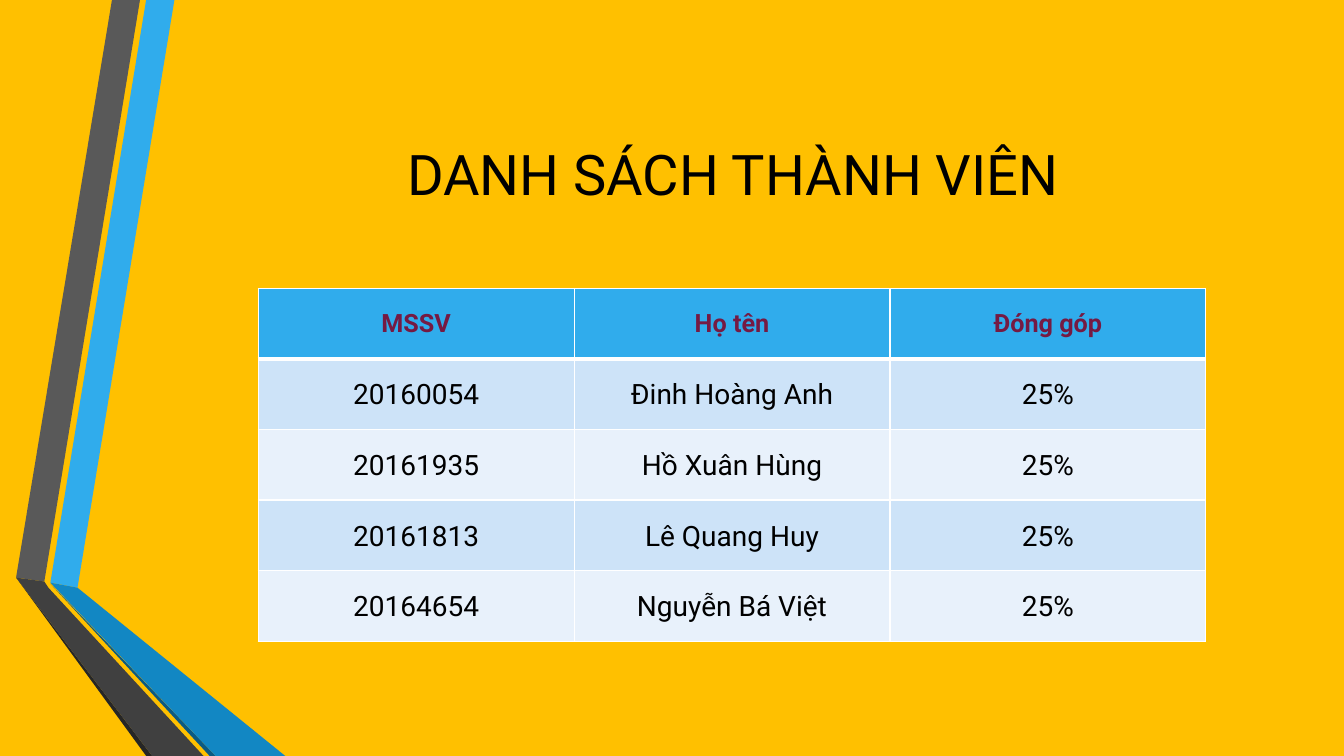
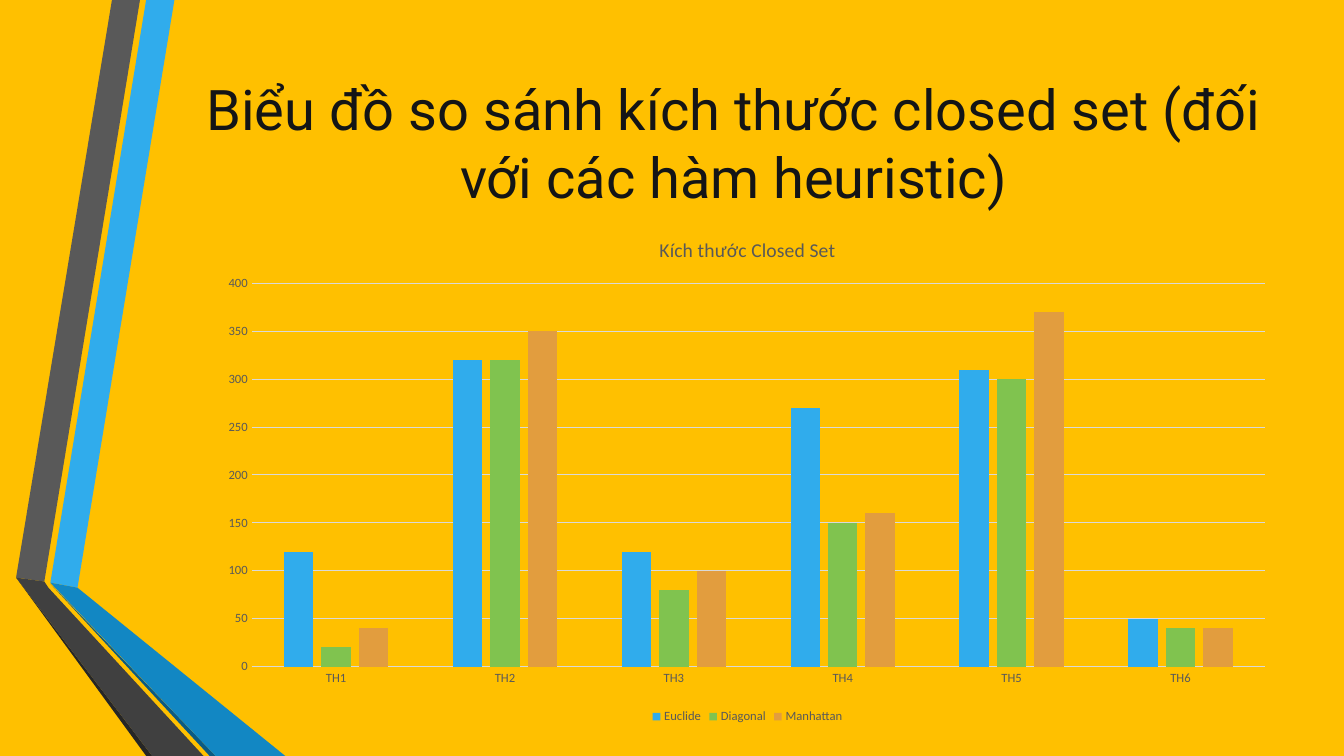
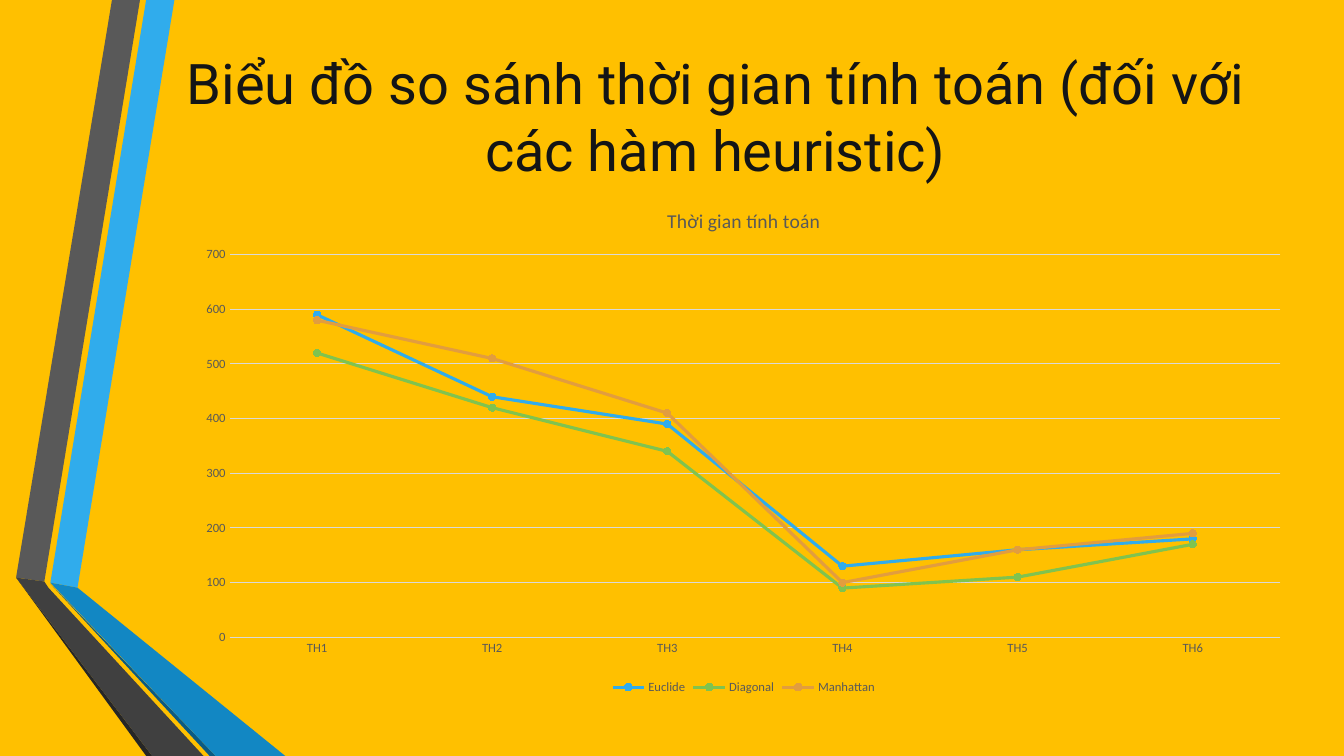
from lxml import etree
from pptx import Presentation
from pptx.chart.data import CategoryChartData
from pptx.dml.color import RGBColor
from pptx.enum.chart import XL_CHART_TYPE, XL_LEGEND_POSITION, XL_MARKER_STYLE, XL_TICK_MARK
from pptx.enum.text import MSO_ANCHOR, MSO_AUTO_SIZE, PP_ALIGN
from pptx.oxml.ns import qn
from pptx.util import Pt

COLUMNS = XL_CHART_TYPE.COLUMN_CLUSTERED
LINES = XL_CHART_TYPE.LINE_MARKERS
LEGEND_BOTTOM = XL_LEGEND_POSITION.BOTTOM
CIRCLE = XL_MARKER_STYLE.CIRCLE
NO_TICK = XL_TICK_MARK.NONE
MIDDLE = MSO_ANCHOR.MIDDLE
NO_AUTOFIT = MSO_AUTO_SIZE.NONE
CENTER = PP_ALIGN.CENTER

TITLE_ONLY = 5
AMBER, WHITE, BLACK, INK = "FFC000", "FFFFFF", "000000", "141516"
SKY, GREEN, ORANGE = "30ACEC", "80C34F", "E29D3E"
GRAY, LIGHT_GRAY, MAROON = "595959", "D9D9D9", "751A43"
ROW_FILLS = ("CDE3F8", "E8F1FB")
RIBBONS = (
    (SKY, [(36, 416.2), (55.4, 419.8), (124.6, 0), (104.4, 0)]),
    (GRAY, [(100, 0), (80, 0), (11.5, 412.6), (31.7, 415.4)]),
    ("262626", [(11.5, 412.6), (104.4, 540), (108.7, 540)]),
    ("0C5A82", [(36, 416.9), (149.8, 540), (154.1, 540)]),
    ("1287C3", [(36, 416.2), (154.1, 540), (203.8, 540), (55.4, 419.8)]),
    ("404040", [(145.4, 540), (34.6, 419.8), (31.7, 415.4), (11.5, 412.6), (108.7, 540)]),
)
PLOT_LAYOUT = {"x": 0.04, "y": 0.13, "w": 0.94, "h": 0.75}

MEMBERS = [
    ("MSSV", "Họ tên", "Đóng góp"),
    ("20160054", "Đinh Hoàng Anh", "25%"),
    ("20161935", "Hồ Xuân Hùng", "25%"),
    ("20161813", "Lê Quang Huy", "25%"),
    ("20164654", "Nguyễn Bá Việt", "25%"),
]
CASES = ["TH1", "TH2", "TH3", "TH4", "TH5", "TH6"]
SERIES_COLORS = {"Euclide": SKY, "Diagonal": GREEN, "Manhattan": ORANGE}
CLOSED_SET_SIZES = [
    (120, 320, 120, 270, 310, 50),
    (20, 320, 80, 150, 300, 40),
    (40, 350, 100, 160, 370, 40),
]
COMPUTE_TIMES = [
    (590, 440, 390, 130, 160, 180),
    (520, 420, 340, 90, 110, 170),
    (580, 510, 410, 100, 160, 190),
]


def color(value):
    """Turn a hex string into a colour."""
    return RGBColor.from_string(value)


def style_font(font, size, value, name="Calibri", bold=False):
    """Set size, colour, typeface and weight of a font."""
    font.size = Pt(size)
    font.color.rgb = color(value)
    font.name = name
    font.bold = bold


def style_line(line, value, width):
    """Set colour and width of a line."""
    line.color.rgb = color(value)
    line.width = Pt(width)


def style_fill(fill, value):
    """Set a solid fill."""
    fill.solid()
    fill.fore_color.rgb = color(value)


class Deck:
    """Hold the shared style and the current slide."""

    def __init__(self):
        """Start a widescreen presentation with an amber background."""
        self.presentation = Presentation()
        self.presentation.slide_width = Pt(960)
        self.presentation.slide_height = Pt(540)
        style_fill(self.presentation.slide_master.background.fill, AMBER)
        self.slide = None

    def add_slide(self, title, left, top, title_color=INK):
        """Add a slide with the folded ribbons and a title."""
        layout = self.presentation.slide_layouts[TITLE_ONLY]
        self.slide = self.presentation.slides.add_slide(layout)
        for fill, points in RIBBONS:
            self.add_polygon(points, fill)
        shape = self.slide.shapes.title
        shape.left, shape.top, shape.width, shape.height = Pt(left), Pt(top), Pt(789), Pt(138)
        frame = shape.text_frame
        frame.text = title
        frame.word_wrap = True
        frame.auto_size = NO_AUTOFIT
        frame.vertical_anchor = MIDDLE
        paragraph = frame.paragraphs[0]
        paragraph.alignment = CENTER
        style_font(paragraph.runs[0].font, 40, title_color, "Roboto")

    def add_polygon(self, points, fill):
        """Draw a closed filled outline."""
        corners = [(Pt(x), Pt(y)) for x, y in points]
        builder = self.slide.shapes.build_freeform(*corners[0])
        builder.add_line_segments(corners[1:], close=True)
        shape = builder.convert_to_shape()
        shape.shadow.inherit = False
        style_fill(shape.fill, fill)
        shape.line.fill.background()

    def add_table(self, rows, left, top, column_width, row_height):
        """Add a table with a header row and alternating row fills."""
        count = len(rows[0])
        frame = self.slide.shapes.add_table(
            len(rows), count, Pt(left), Pt(top),
            Pt(column_width * count), Pt(row_height * len(rows)))
        table = frame.table
        for column in table.columns:
            column.width = Pt(column_width)
        for row_index, texts in enumerate(rows):
            table.rows[row_index].height = Pt(row_height)
            for column_index, text in enumerate(texts):
                self.fill_cell(table.cell(row_index, column_index), text, row_index)

    def fill_cell(self, cell, text, row_index):
        """Write and style one table cell."""
        header = row_index == 0
        cell.vertical_anchor = MIDDLE
        cell.margin_left = cell.margin_right = Pt(6 if header else 3.6)
        cell.margin_top = cell.margin_bottom = Pt(3.6 if header else 0)
        style_fill(cell.fill, SKY if header else ROW_FILLS[(row_index - 1) % 2])
        self.add_borders(cell, {"L": 1, "R": 1, "T": 3 if row_index == 1 else 1,
                                "B": 3 if header else 1})
        cell.text_frame.text = text
        paragraph = cell.text_frame.paragraphs[0]
        paragraph.alignment = CENTER
        paragraph.line_spacing = 1.0 if header else 1.07
        style_font(paragraph.runs[0].font, 18 if header else 20,
                   MAROON if header else BLACK, "Roboto", header)

    def add_borders(self, cell, widths):
        """Give a cell white borders, with a width for each side."""
        properties = cell._tc.get_or_add_tcPr()
        for index, (side, width) in enumerate(widths.items()):
            border = etree.Element(qn(f"a:ln{side}"), w=str(Pt(width)))
            fill = etree.SubElement(border, qn("a:solidFill"))
            etree.SubElement(fill, qn("a:srgbClr"), val=WHITE)
            properties.insert(index, border)

    def add_chart(self, kind, title, values, box, maximum, step):
        """Add a column or line chart comparing the heuristics."""
        data = CategoryChartData()
        data.categories = CASES
        for name, numbers in zip(SERIES_COLORS, values):
            data.add_series(name, numbers)
        frame = self.slide.shapes.add_chart(kind, *(Pt(length) for length in box), data)
        chart = frame.chart
        style_font(chart.font, 10, BLACK)
        chart.has_title = True
        chart.chart_title.include_in_layout = False
        chart.chart_title.text_frame.text = title
        style_font(chart.chart_title.text_frame.paragraphs[0].runs[0].font, 14, GRAY)
        chart.has_legend = True
        chart.legend.position = LEGEND_BOTTOM
        chart.legend.include_in_layout = False
        style_font(chart.legend.font, 9, GRAY)
        self.style_axes(chart, maximum, step)
        self.place_plot(chart)
        plot = chart.plots[0]
        plot.vary_by_categories = False
        if kind == COLUMNS:
            plot.gap_width = 219
            plot.overlap = -27
        for series, value in zip(plot.series, SERIES_COLORS.values()):
            if kind == COLUMNS:
                series.invert_if_negative = False
                style_fill(series.format.fill, value)
            else:
                self.style_line_series(series, value)

    def style_line_series(self, series, value):
        """Draw a series as a straight line with round markers."""
        series.smooth = False
        style_line(series.format.line, value, 2.25)
        series.marker.style = CIRCLE
        series.marker.size = 5
        style_fill(series.marker.format.fill, value)
        style_line(series.marker.format.line, value, 0.75)

    def style_axes(self, chart, maximum, step):
        """Set scale, labels and lines of both axes."""
        for axis in (chart.category_axis, chart.value_axis):
            axis.major_tick_mark = axis.minor_tick_mark = NO_TICK
            style_font(axis.tick_labels.font, 9, GRAY)
        style_line(chart.category_axis.format.line, LIGHT_GRAY, 0.75)
        axis = chart.value_axis
        axis.minimum_scale, axis.maximum_scale, axis.major_unit = 0, maximum, step
        axis.format.line.fill.background()
        axis.has_major_gridlines = True
        style_line(axis.major_gridlines.format.line, LIGHT_GRAY, 0.75)

    def place_plot(self, chart):
        """Fix the inner plot area as shares of the chart."""
        area = chart.element.find(f".//{qn('c:plotArea')}")
        for previous in area.findall(qn("c:layout")):
            area.remove(previous)
        layout = etree.Element(qn("c:layout"))
        manual = etree.SubElement(layout, qn("c:manualLayout"))
        settings = {"layoutTarget": "inner", "xMode": "edge", "yMode": "edge", **PLOT_LAYOUT}
        for name, value in settings.items():
            etree.SubElement(manual, qn(f"c:{name}"), val=str(value))
        area.insert(0, layout)


def main():
    """Build the three slides."""
    deck = Deck()
    deck.add_slide("DANH SÁCH THÀNH VIÊN", 129, 55, BLACK)
    deck.add_table(MEMBERS, 184.5, 206, 225.6, 50.4)

    deck.add_slide("Biểu đồ so sánh kích thước closed set (đối với các hàm heuristic)", 129.5, 32.5)
    deck.add_chart(COLUMNS, "Kích thước Closed Set", CLOSED_SET_SIZES,
                   (149, 155, 770, 365), 400, 50)

    deck.add_slide("Biểu đồ so sánh thời gian tính toán (đối với các hàm heuristic)", 116.5, 13.5)
    deck.add_chart(LINES, "Thời gian tính toán", COMPUTE_TIMES,
                   (132, 134.5, 798.5, 364.5), 700, 100)
    deck.presentation.save("out.pptx")


if __name__ == "__main__":
    main()
